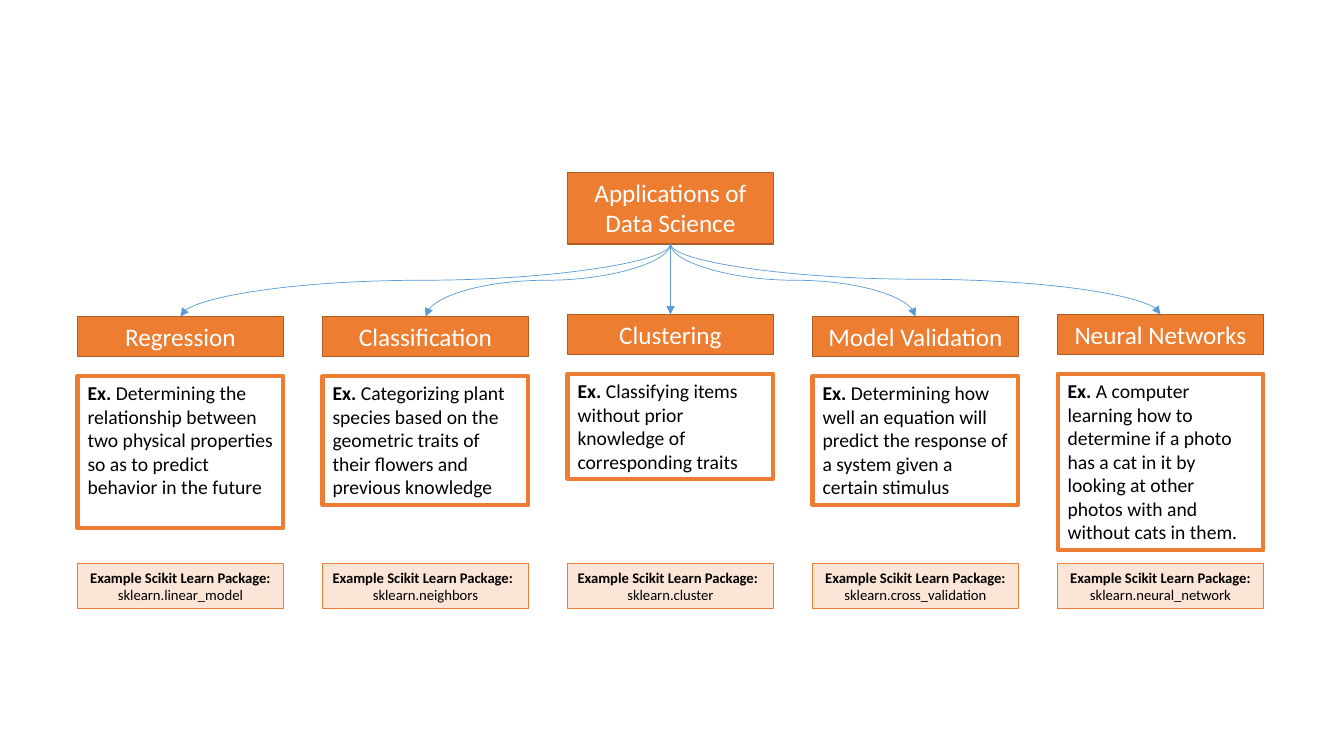
from pptx import Presentation
from pptx.dml.color import RGBColor
from pptx.enum.shapes import MSO_CONNECTOR, MSO_SHAPE
from pptx.enum.text import MSO_ANCHOR, PP_ALIGN
from pptx.oxml.ns import qn
from pptx.util import Inches, Pt
from lxml import etree

RECT = MSO_SHAPE.RECTANGLE
CURVE = MSO_CONNECTOR.CURVE
TOP = MSO_ANCHOR.TOP
LEFT, CENTER = PP_ALIGN.LEFT, PP_ALIGN.CENTER
ORANGE, BROWN, PEACH, BLUE = "ED7D31", "AF5C24", "FBE5D6", "5B9BD5"
WHITE, BLACK = "FFFFFF", "000000"
BOX_W, FIRST_X, STEP = 2.04, 0.77, 2.43
ROOT_X, ROOT_Y, ROOT_H = FIRST_X + 2 * STEP, 1.71, 0.71


def color(hex_text):
    return RGBColor.from_string(hex_text)


def add_box(x, y, h, fill, line, weight, size, ink, paragraphs):
    s = slide.shapes.add_shape(RECT, Inches(x), Inches(y), Inches(BOX_W), Inches(h))
    s.shadow.inherit = False
    if fill:
        s.fill.solid()
        s.fill.fore_color.rgb = color(fill)
    else:
        s.fill.background()
    s.line.color.rgb = color(line)
    s.line.width = Pt(weight)
    tf = s.text_frame
    tf.word_wrap = True
    tf.vertical_anchor = TOP
    for i, (align, runs) in enumerate(paragraphs):
        p = tf.add_paragraph() if i else tf.paragraphs[0]
        p.alignment = align
        for text, bold in runs:
            r = p.add_run()
            r.text = text
            r.font.name = "Calibri"
            r.font.size = Pt(size)
            r.font.bold = bold
            r.font.color.rgb = color(ink)
    return s


prs = Presentation()
prs.slide_width, prs.slide_height = Inches(13.33), Inches(7.5)
slide = prs.slides.add_slide(prs.slide_layouts[6])

applications = [
    ("Regression", 3.14, 1.51, "Determining the relationship between two physical properties "
     "so as to predict behavior in the future", CENTER, "linear_model"),
    ("Classification", 3.14, 1.28, "Categorizing plant species based on the geometric traits "
     "of their flowers and previous knowledge", LEFT, "neighbors"),
    ("Clustering", 3.12, 1.04, "Classifying items without prior knowledge of "
     "corresponding traits", LEFT, "cluster"),
    ("Model Validation", 3.14, 1.28, "Determining how well an equation will predict the "
     "response of a system given a certain stimulus", CENTER, "cross_validation"),
    ("Neural Networks", 3.12, 1.75, "A computer learning how to determine if a photo has a cat "
     "in it by looking at other photos with and without cats in them.", CENTER, "neural_network"),
]

root = add_box(ROOT_X, ROOT_Y, ROOT_H, ORANGE, BROWN, 1, 18, WHITE,
               [(CENTER, [("Applications of Data Science", False)])])

for i, (name, y, example_h, example, label_align, package) in enumerate(applications):
    x = FIRST_X + i * STEP
    heading = add_box(x, y, 0.4, ORANGE, BROWN, 1, 18, WHITE, [(CENTER, [(name, False)])])
    add_box(x, y + 0.59, example_h, None, ORANGE, 3, 14, BLACK,
            [(LEFT, [("Ex. ", True), (example, False)])])
    add_box(x, 5.59, 0.45, PEACH, ORANGE, 0.5, 10.5, BLACK,
            [(label_align, [("Example Scikit Learn Package:", True)]),
             (CENTER, [("sklearn." + package, False)])])

    start_y = ROOT_Y + ROOT_H
    drop, span = y - start_y, abs(x - ROOT_X)
    mid_x, mid_y = (x + ROOT_X + BOX_W) / 2, (y + start_y) / 2
    arrow = slide.shapes.add_connector(CURVE, 0, 0, 0, 0)
    arrow.begin_connect(root, 2)
    arrow.end_connect(heading, 0)
    xfrm = arrow._element.spPr.find(qn("a:xfrm"))
    xfrm.attrib.clear()
    if x > ROOT_X:
        xfrm.set("rot", "16200000")
        xfrm.set("flipH", "1")
    else:
        xfrm.set("rot", "5400000")
    arrow.left, arrow.top = Inches(mid_x - drop / 2), Inches(mid_y - span / 2)
    arrow.width, arrow.height = Inches(drop), Inches(span)
    arrow.line.color.rgb = color(BLUE)
    arrow.line.width = Pt(0.5)
    etree.SubElement(arrow.line._get_or_add_ln(), qn("a:tailEnd"), type="triangle")
    etree.SubElement(arrow._element.spPr, qn("a:effectLst"))

prs.save("out.pptx")
